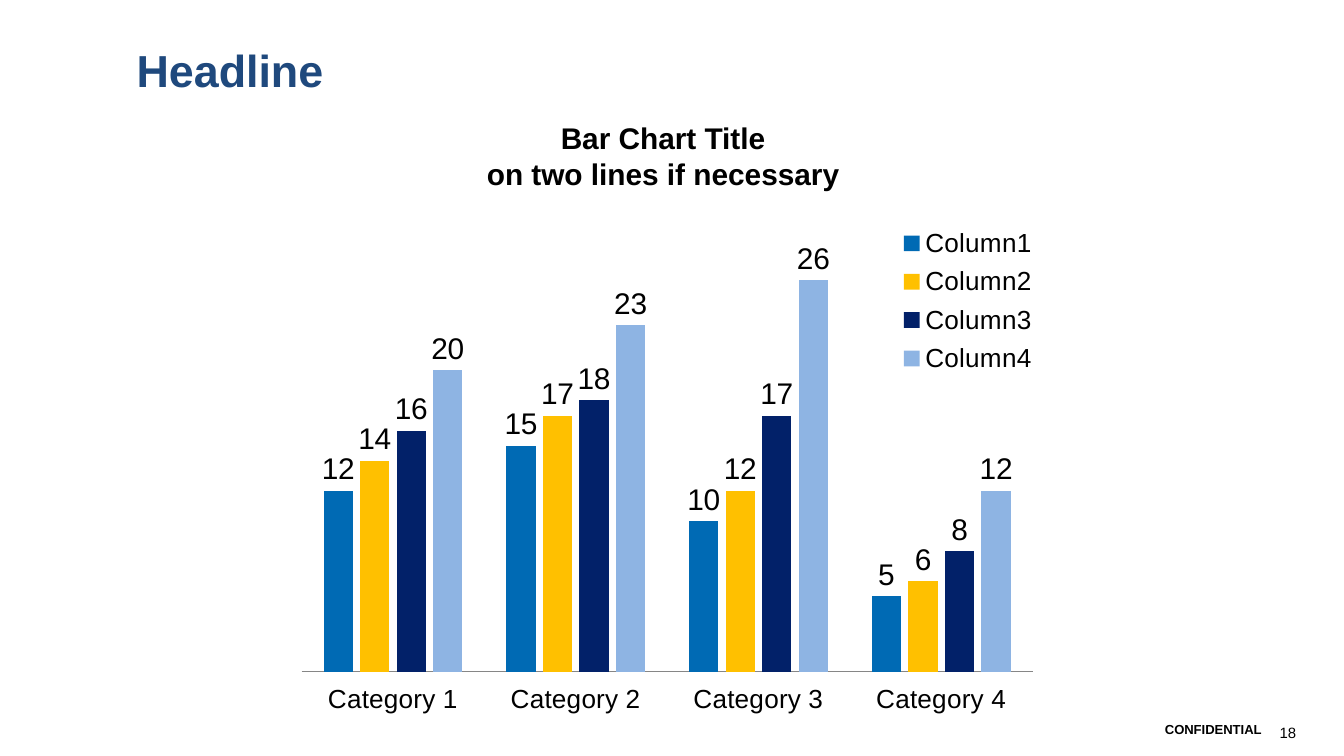
from lxml.etree import SubElement
from pptx import Presentation
from pptx.chart.data import CategoryChartData
from pptx.dml.color import RGBColor
from pptx.enum.chart import (XL_CHART_TYPE, XL_LABEL_POSITION, XL_LEGEND_POSITION,
                             XL_TICK_LABEL_POSITION, XL_TICK_MARK)
from pptx.enum.text import MSO_ANCHOR, MSO_AUTO_SIZE, PP_ALIGN
from pptx.oxml.ns import qn
from pptx.util import Pt

# Content
HEADLINE = ["Headline"]
CHART_TITLE = ["Bar Chart Title ", "on two lines if necessary "]
FOOTER = ["CONFIDENTIAL"]
PAGE_NUMBER = ["18"]
CATEGORIES = ["Category 1", "Category 2", "Category 3", "Category 4"]
COLUMNS = [
    ("Column1", "006AB4", [12, 15, 10, 5]),
    ("Column2", "FFC000", [14, 17, 12, 6]),
    ("Column3", "022169", [16, 18, 17, 8]),
    ("Column4", "8EB4E3", [20, 23, 26, 12]),
]
FONT = "Arial"
BLACK, NAVY, GREY = "000000", "1F497D", "868686"


def color(hex_code):
    return RGBColor.from_string(hex_code)


def style(font, size, hex_code=BLACK, bold=False):
    font.name, font.size, font.bold = FONT, Pt(size), bold
    font.color.rgb = color(hex_code)


def write(shape, lines, size, align, hex_code=BLACK, bold=True,
          anchor=MSO_ANCHOR.TOP, wrap=True, fit=MSO_AUTO_SIZE.NONE):
    frame = shape.text_frame
    frame.word_wrap, frame.auto_size, frame.vertical_anchor = wrap, fit, anchor
    for i, line in enumerate(lines):
        paragraph = frame.add_paragraph() if i else frame.paragraphs[0]
        paragraph.alignment = align
        run = paragraph.add_run()
        run.text = line
        style(run.font, size, hex_code, bold)


def place(element, x, y, w, h, inner=False):
    """Fix a plot area or legend at fractions of the chart."""
    for old in element.findall(qn("c:layout")):
        element.remove(old)
    layout = SubElement(element, qn("c:layout"))
    manual = SubElement(layout, qn("c:manualLayout"))
    settings = [("layoutTarget", "inner")] if inner else []
    settings += [("xMode", "edge"), ("yMode", "edge"),
                 ("x", x), ("y", y), ("w", w), ("h", h)]
    for tag, value in settings:
        SubElement(manual, qn(f"c:{tag}")).set("val", str(value))
    legend_position = element.find(qn("c:legendPos"))
    if legend_position is None:
        element.insert(0, layout)
    else:
        legend_position.addnext(layout)


presentation = Presentation()
presentation.slide_width, presentation.slide_height = Pt(720), Pt(405)
slide = presentation.slides.add_slide(presentation.slide_layouts[5])

# Headline
headline = slide.shapes.title
headline.left, headline.top = Pt(66), Pt(19.5)
headline.width, headline.height = Pt(565), Pt(33)
write(headline, HEADLINE, 24, PP_ALIGN.LEFT, NAVY)

# Footer and page number
footer = slide.shapes.add_textbox(Pt(473), Pt(380), Pt(210), Pt(21.6))
write(footer, FOOTER, 7, PP_ALIGN.RIGHT, anchor=MSO_ANCHOR.MIDDLE)
page_number = slide.shapes.add_textbox(Pt(674.5), Pt(384), Pt(27), Pt(13))
write(page_number, PAGE_NUMBER, 8, PP_ALIGN.RIGHT, bold=False)

# Chart title
chart_title = slide.shapes.add_textbox(Pt(253.5), Pt(60.5), Pt(208), Pt(44.6))
write(chart_title, CHART_TITLE, 16, PP_ALIGN.CENTER, wrap=False,
      fit=MSO_AUTO_SIZE.SHAPE_TO_FIT_TEXT)

# Column chart
chart_data = CategoryChartData()
chart_data.categories = CATEGORIES
for name, _, values in COLUMNS:
    chart_data.add_series(name, values)
chart = slide.shapes.add_chart(XL_CHART_TYPE.COLUMN_CLUSTERED, Pt(153.4), Pt(112.3),
                               Pt(408), Pt(272), chart_data).chart
chart.has_title = False
style(chart.font, 18)

columns = chart.plots[0]
columns.gap_width, columns.overlap, columns.vary_by_categories = 150, -25, False
for series, (_, fill, _) in zip(columns.series, COLUMNS):
    series.format.fill.solid()
    series.format.fill.fore_color.rgb = color(fill)
    labels = series.data_labels
    labels.show_value, labels.position = True, XL_LABEL_POSITION.OUTSIDE_END
    style(labels.font, 16)

# Axes
category_axis, value_axis = chart.category_axis, chart.value_axis
category_axis.major_tick_mark = XL_TICK_MARK.NONE
category_axis.tick_label_position = XL_TICK_LABEL_POSITION.LOW
category_axis.format.line.color.rgb = color(GREY)
style(category_axis.tick_labels.font, 14)
value_axis.minimum_scale, value_axis.maximum_scale = 0, 30
value_axis.has_major_gridlines = value_axis.visible = False

# Legend and plot area
chart.has_legend = True
legend = chart.legend
legend.position, legend.include_in_layout = XL_LEGEND_POSITION.RIGHT, True
style(legend.font, 14)
place(legend._element, 0.8, 0.02, 0.19, 0.32)
plot_area = chart._chartSpace.chart.plotArea
place(plot_area, 0.02, 0.02, 0.96, 0.89, inner=True)

presentation.save("out.pptx")
